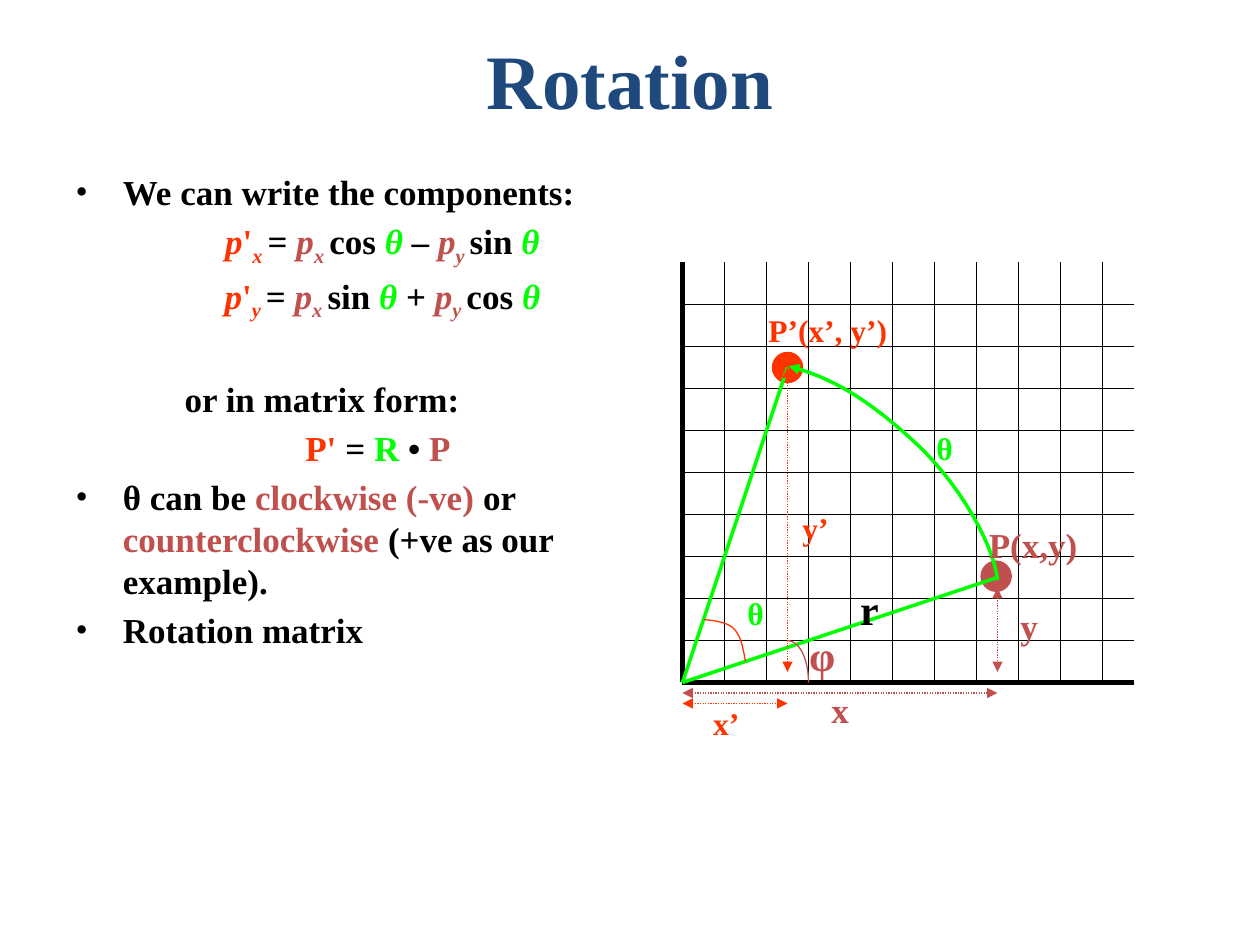
from dataclasses import dataclass

from pptx import Presentation
from pptx import util as u
from pptx.dml.color import RGBColor
from pptx.enum import dml, shapes, text
from pptx.oxml import ns, xmlchemy

PX = 9525  # EMU in one px, 96 px to the inch


@dataclass(frozen=True)
class Theme:
    font: str = "Times New Roman"
    title: str = "1F497D"
    ink: str = "000000"
    before: str = "C0504D"  # P and its coordinates
    after: str = "FF3300"  # P' and its coordinates
    turn: str = "00FF00"  # angle and radius
    title_size: int = 44
    body_size: int = 20
    small_size: int = 18
    big_size: int = 24


T = Theme()


def px(*values):
    return [u.Emu(v * PX) for v in values]


def sub(parent, tag, **attrs):
    el = xmlchemy.OxmlElement(tag)
    for name, value in attrs.items():
        el.set(name, str(value))
    parent.append(el)
    return el


def add_run(p, words, color=T.ink, size=T.body_size, italic=False, base=0):
    r = p.add_run()
    r.text = words
    f = r.font
    f.name, f.size, f.bold, f.italic = T.font, u.Pt(size), True, italic
    f.color.rgb = RGBColor.from_string(color)
    if base:
        f._element.set("baseline", str(base * 1000))


class Slide:
    def __init__(self, prs, theme):
        self.theme = theme
        self.s = prs.slides.add_slide(prs.slide_layouts[1])

    def place(self, sp, box):
        sp.left, sp.top, sp.width, sp.height = px(*box)
        sp.text_frame.auto_size = text.MSO_AUTO_SIZE.NONE
        return sp.text_frame

    def title(self, words, box):
        tf = self.place(self.s.shapes.title, box)
        tf.vertical_anchor = text.MSO_ANCHOR.MIDDLE
        p = tf.paragraphs[0]
        p.alignment = text.PP_ALIGN.CENTER
        add_run(p, words, self.theme.title, self.theme.title_size)

    def body(self, items, box):
        tf = self.place(self.s.placeholders[1], box)
        for i, (kind, before, runs) in enumerate(items):
            p = tf.paragraphs[0] if i == 0 else tf.add_paragraph()
            pPr = p._p.get_or_add_pPr()
            margin, indent = (83, 0) if kind == "plain" else (36, -36)
            pPr.set("marL", str(margin * PX))
            pPr.set("indent", str(indent * PX))
            if kind == "bullet":
                sub(pPr, "a:buFont", typeface=self.theme.font)
                sub(pPr, "a:buChar", char="•")
            else:
                sub(pPr, "a:buNone")
            centred = kind == "formula"
            p.alignment = text.PP_ALIGN.CENTER if centred else text.PP_ALIGN.LEFT
            p.space_before = u.Pt(before)
            for words, fmt in runs:
                add_run(p, words, **fmt)

    def label(self, words, box, color, size):
        tf = self.s.shapes.add_textbox(*px(*box)).text_frame
        tf.word_wrap = False
        tf.auto_size = text.MSO_AUTO_SIZE.SHAPE_TO_FIT_TEXT
        add_run(tf.paragraphs[0], words, color, size)

    def dot(self, x, y, color, d=24):
        sp = self.s.shapes.add_shape(shapes.MSO_SHAPE.OVAL, *px(x, y, d, d))
        sp.shadow.inherit = False
        sp.fill.solid()
        sp.fill.fore_color.rgb = RGBColor.from_string(color)
        sp.line.fill.background()

    def stroke(self, sp, color, width, ends=()):
        sp.line.color.rgb = RGBColor.from_string(color)
        sp.line.width = u.Pt(width)
        for end in ends:
            sub(sp.line._get_or_add_ln(), f"a:{end}", type="triangle")

    def line(self, start, stop, color, width, parent=None):
        owner = (parent or self.s).shapes
        c = owner.add_connector(shapes.MSO_CONNECTOR.STRAIGHT, *px(*start, *stop))
        self.stroke(c, color, width)
        sub(c._element.spPr, "a:effectLst")
        return c

    def dimension(self, start, stop, color):
        c = self.line(start, stop, color, 0.75)
        c.line.dash_style = dml.MSO_LINE.ROUND_DOT
        self.stroke(c, color, 0.75, ("headEnd", "tailEnd"))

    def curve(self, points, color, width, ends=()):
        """Bezier curve: a start point, then three points per segment."""
        fb = self.s.shapes.build_freeform(*points[0], scale=PX)
        fb.add_line_segments(points[1:], close=False)
        sp = fb.convert_to_shape()
        sp.shadow.inherit = False
        sp.fill.background()
        self.stroke(sp, color, width, ends)
        path = sp._element.find(".//" + ns.qn("a:path"))
        steps = path.findall(ns.qn("a:lnTo"))
        for i in range(0, len(steps), 3):
            bezier = sub(path, "a:cubicBezTo")
            for step in steps[i:i + 3]:
                bezier.append(step[0])
                path.remove(step)


def equation(component, first, op, second):
    angle = ("θ", dict(color=T.turn, italic=True))

    def p_sub(axis):
        fmt = dict(color=T.before, italic=True)
        return [("p", fmt), (axis + " ", dict(fmt, base=-25))]

    return [(" ", {}), ("p", dict(color=T.after, italic=True)),
            ("'", dict(color=T.after)),
            (component + " ", dict(color=T.after, italic=True, base=-25)),
            ("= ", {}), *p_sub("x"), (first + " ", {}), angle,
            (f" {op} ", {}), *p_sub("y"), (second + " ", {}), angle]


def main():
    prs = Presentation()
    prs.slide_width, prs.slide_height = px(960, 720)
    s = Slide(prs, T)

    # Title and explanation
    s.title("Rotation", (72, 0, 816, 120))
    before, after, turn = (dict(color=c) for c in (T.before, T.after, T.turn))
    s.body([
        ("bullet", 0, [("We can write the components:", {})]),
        ("formula", 4, equation("x", "cos", "–", "sin")),
        ("formula", 4, equation("y", "sin", "+", "cos")),
        ("plain", 32, [("or in matrix form:", {})]),
        ("formula", 4, [("P' ", after), ("= ", {}), ("R ", turn),
                        ("• ", {}), ("P", before)]),
        ("bullet", 4, [("θ can be ", {}), ("clockwise (-ve)", before),
                       (" or ", {}), ("counterclockwise", before),
                       (" (+ve as our example).", {})]),
        ("bullet", 4, [("Rotation matrix", {})]),
    ], (48, 125, 480, 571))

    # Axes and grid
    left, top, right, bottom, cell = 520, 200, 864, 520, 32
    origin, p_old, p_new = (left, bottom), (760, 440), (600, 280)
    grid = s.s.shapes.add_group_shape()
    s.line((left, top), origin, T.ink, 3, grid)
    s.line(origin, (right, bottom), T.ink, 3, grid)
    for x in range(left + cell, right, cell):
        s.line((x, top), (x, bottom), T.ink, 0.75, grid)
    for y in range(bottom - cell, top, -cell):
        s.line((left, y), (right, y), T.ink, 0.75, grid)

    # Points, radii and the turn between them
    s.dot(747, 427, T.before)
    s.dot(588, 268, T.after)
    s.curve([(760, 442), (757, 414), (730, 367), (696, 336),
             (662, 305), (632, 287), (601, 279)], T.turn, 2, ["tailEnd"])
    for point in (p_old, p_new):
        s.line(origin, point, T.turn, 2)

    # Coordinates
    s.dimension((760, 448), (760, 512), T.before)
    s.dimension((left, 528), (760, 528), T.before)
    s.dimension(p_new, (600, 512), T.after)
    s.dimension((left, 536), (600, 536), T.after)

    # Angle arcs
    s.curve([(600, 488), (609, 488), (616, 502), (616, 520)], T.before, 0.75)
    s.curve([(568, 504), (566, 494), (565, 486), (560, 480),
             (555, 474), (545, 473), (536, 472)], T.after, 0.75)

    # Labels
    for words, box, color, size in [
        ("θ", (704, 322, 32, 38), T.turn, T.small_size),
        ("P(x,y)", (744, 394, 87, 41), T.before, T.body_size),
        ("φ", (607, 475, 44, 48), T.before, T.big_size),
        ("x", (624, 520, 33, 41), T.before, T.body_size),
        ("y", (768, 456, 33, 41), T.before, T.body_size),
        ("r", (646, 440, 34, 48), T.ink, T.big_size),
        ("x’", (534, 532, 39, 38), T.after, T.small_size),
        ("y’", (602, 383, 39, 38), T.after, T.small_size),
        ("θ", (560, 448, 32, 38), T.turn, T.small_size),
        ("P’(x’, y’)", (576, 232, 110, 38), T.after, T.small_size),
    ]:
        s.label(words, box, color, size)

    prs.save("out.pptx")


if __name__ == "__main__":
    main()
